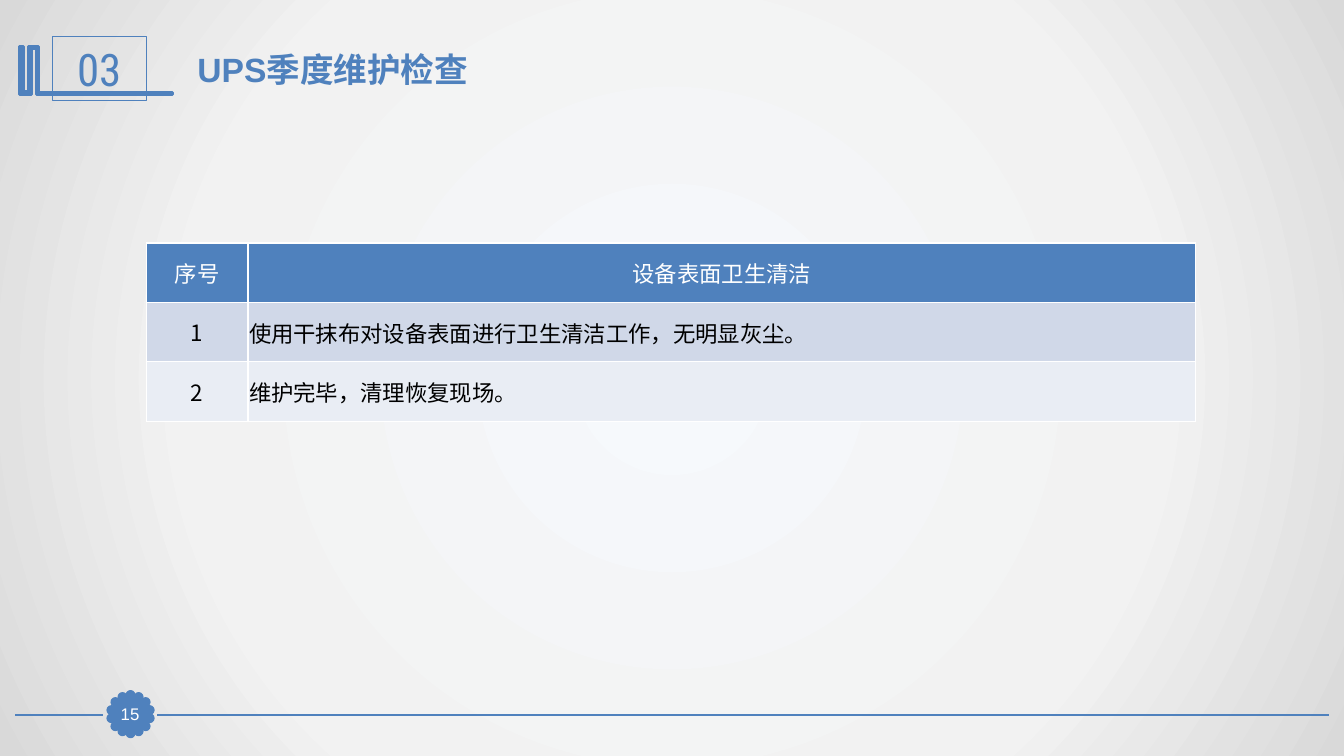
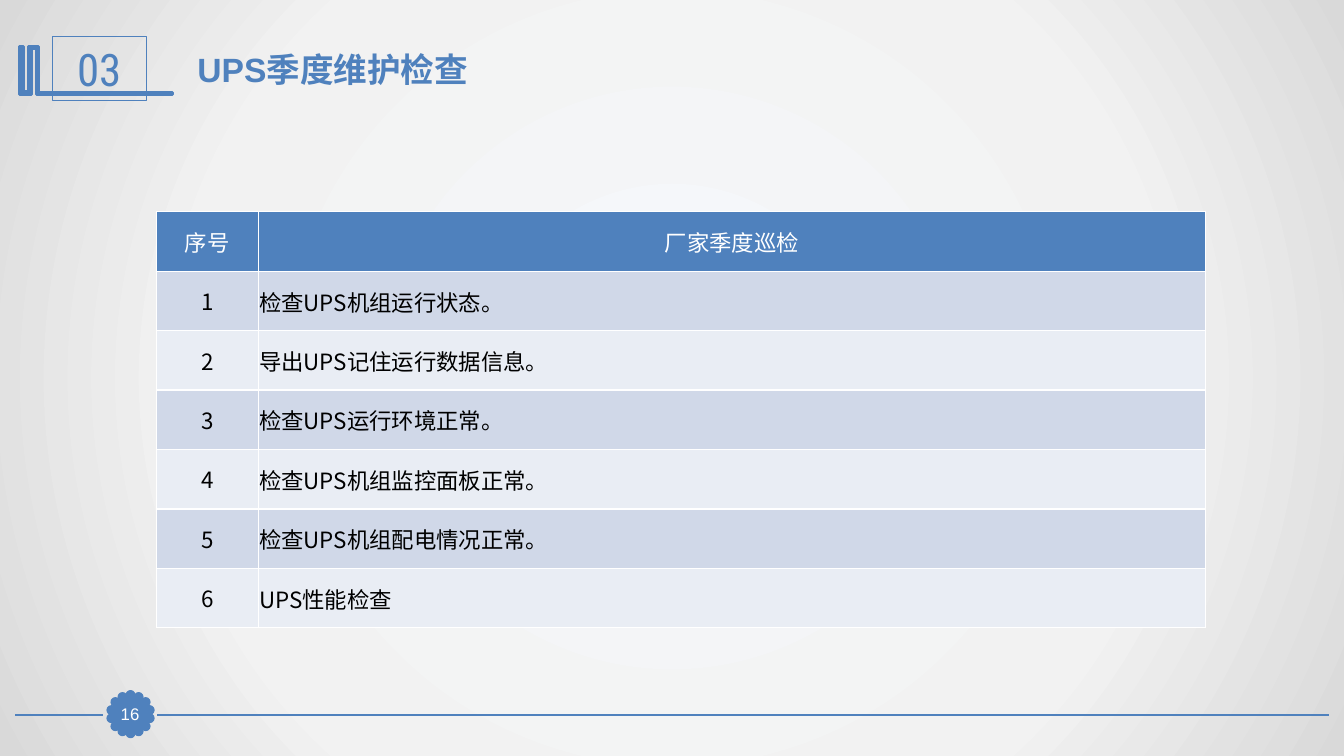
from dataclasses import dataclass
from math import cos, pi, sin

from lxml import etree
from pptx import Presentation
from pptx import util as u
from pptx.dml.color import RGBColor
from pptx.enum import shapes, text
from pptx.oxml import parse_xml
from pptx.oxml.ns import nsdecls, qn

PX = 9144
MID = text.MSO_ANCHOR.MIDDLE
LEFT, MIDST = text.PP_ALIGN.LEFT, text.PP_ALIGN.CENTER


@dataclass(frozen=True)
class Theme:
    blue: str = "4F81BD"
    white: str = "FFFFFF"
    black: str = "000000"
    bands: tuple = ("D0D8E8", "E9EDF4")
    glow: tuple = ((0, "F6F9FC"), (63, "F2F2F2"), (100, "D9D9D9"))
    sans: str = "Arial"
    thin: str = "Roboto Condensed"
    han: str = "Noto Sans CJK SC"
    title: int = 24
    badge: int = 32
    body: int = 16
    small: int = 12


class Deck:
    """Draws styled elements on the current slide."""

    def __init__(self, theme):
        self.theme = theme
        self.prs = Presentation()
        self.prs.slide_width, self.prs.slide_height = 1333 * PX, 750 * PX
        self.slide = None
        self.glow()

    def glow(self):
        stops = "".join(
            f'<a:gs pos="{pos * 1000}"><a:srgbClr val="{hue}"/></a:gs>'
            for pos, hue in self.theme.glow
        )
        base = self.prs.slide_master.element.cSld
        for old in base.findall(qn("p:bg")):
            base.remove(old)
        base.insert(0, parse_xml(
            f'<p:bg {nsdecls("p", "a")}><p:bgPr><a:gradFill rotWithShape="1">'
            f'<a:gsLst>{stops}</a:gsLst><a:path path="circle">'
            '<a:fillToRect l="50000" t="50000" r="50000" b="50000"/></a:path>'
            '</a:gradFill><a:effectLst/></p:bgPr></p:bg>'
        ))

    def page(self, num, part, head):
        self.slide = self.prs.slides.add_slide(self.prs.slide_layouts[6])
        self.foot(num)
        self.mark(part)
        self.title(head)

    def paint(self, shape, fill, width):
        shape.shadow.inherit = False
        if fill:
            shape.fill.solid()
            shape.fill.fore_color.rgb = RGBColor.from_string(fill)
        else:
            shape.fill.background()
        shape.line.color.rgb = RGBColor.from_string(self.theme.blue)
        shape.line.width = u.Pt(width)

    def words(self, frame, copy, size, hue, face, align=LEFT, bold=False):
        para = frame.paragraphs[0]
        para.alignment = align
        run = para.add_run()
        run.text = copy
        look = {"size": u.Pt(size), "name": face, "bold": bold}
        for key, val in look.items():
            setattr(run.font, key, val)
        run.font.color.rgb = RGBColor.from_string(hue)
        props = run._r.get_or_add_rPr()
        etree.SubElement(props, qn("a:ea"), typeface=self.theme.han)

    def shape(self, kind, box, fill=None, width=0.75):
        item = self.slide.shapes.add_shape(kind, *(n * PX for n in box))
        self.paint(item, fill, width)
        return item

    def label(self, box, copy, size, hue, face, fill=None, **fit):
        item = self.shape(shapes.MSO_SHAPE.RECTANGLE, box, fill)
        frame = item.text_frame
        for key, val in {"vertical_anchor": MID, "word_wrap": True, **fit}.items():
            setattr(frame, key, val)
        self.words(frame, copy, size, hue, face, MIDST)

    def rule(self, start, end, y):
        line = self.slide.shapes.add_connector(
            shapes.MSO_CONNECTOR.STRAIGHT, start * PX, y * PX, end * PX, y * PX)
        line.line.color.rgb = RGBColor.from_string(self.theme.blue)
        line.line.width = u.Pt(1.25)
        etree.SubElement(line._element.spPr, qn("a:effectLst"))

    def foot(self, num):
        look = self.theme
        for start, end in ((1318, 156), (102, 15)):
            self.rule(start, end, 709)
        for step in range(14):
            turn = 2 * pi * step / 14
            x, y = round(126 + 19 * sin(turn)), round(705 - 19 * cos(turn))
            self.shape(shapes.MSO_SHAPE.OVAL, (x, y, 7, 7), look.blue, 2)
        flat = dict.fromkeys(
            ("margin_left", "margin_top", "margin_right", "margin_bottom"), 0)
        self.label((113, 693, 32, 31), str(num), look.small, look.white,
                   look.sans, look.blue, **flat)

    def mark(self, part):
        look = self.theme
        dots = ((38, 46), (38, 92), (171, 92), (171, 94), (36, 94), (36, 48),
                (31, 48), (31, 94), (19, 94), (19, 46), (23, 46), (23, 91),
                (28, 91), (28, 46))
        pen = self.slide.shapes.build_freeform(*dots[0], scale=PX)
        pen.add_line_segments(dots[1:], close=True)
        self.paint(pen.convert_to_shape(), look.blue, 2)
        self.label((52, 36, 93, 64), part, look.badge, look.blue, look.thin)

    def title(self, copy):
        look = self.theme
        box = (186, 44, 969, 50)
        item = self.slide.shapes.add_textbox(*(n * PX for n in box))
        item.text_frame.word_wrap = True
        self.words(item.text_frame, copy, look.title, look.blue, look.sans,
                   bold=True)

    def edge(self, cell):
        props = cell._tc.get_or_add_tcPr()
        for side in ("lnL", "lnR", "lnT", "lnB"):
            props.append(parse_xml(
                f'<a:{side} {nsdecls("a")} w="12700"><a:solidFill>'
                f'<a:srgbClr val="{self.theme.white}"/></a:solidFill></a:{side}>'
            ))

    def cell(self, cell, copy, fill, hue, align):
        self.edge(cell)
        cell.fill.solid()
        cell.fill.fore_color.rgb = RGBColor.from_string(fill)
        cell.vertical_anchor = MID
        if align == LEFT:
            pads = {"margin_left": PX, "margin_right": PX,
                    "margin_top": PX, "margin_bottom": 0}
            for key, val in pads.items():
                setattr(cell, key, val)
        look = self.theme
        self.words(cell.text_frame, copy, look.body, hue, look.han, align)

    def table(self, x, y, head, tasks):
        look, wide, high = self.theme, (101, 940), 59
        rows = [("序号", head)]
        rows += [(str(n), task) for n, task in enumerate(tasks, 1)]
        size = (x, y, sum(wide), high * len(rows))
        grid = self.slide.shapes.add_table(
            len(rows), len(wide), *(n * PX for n in size)).table
        grid.first_row = grid.horz_banding = False
        for col, width in zip(grid.columns, wide):
            col.width = width * PX
        for r, row in enumerate(rows):
            grid.rows[r].height = high * PX
            fill = look.bands[(r - 1) % 2] if r else look.blue
            hue = look.black if r else look.white
            for c, copy in enumerate(row):
                align = LEFT if r and c else MIDST
                self.cell(grid.cell(r, c), copy, fill, hue, align)


def main():
    deck = Deck(Theme())
    pages = (
        (145, 241, "设备表面卫生清洁", (
            "使用干抹布对设备表面进行卫生清洁工作，无明显灰尘。",
            "维护完毕，清理恢复现场。",
        )),
        (155, 210, "厂家季度巡检", (
            "检查UPS机组运行状态。",
            "导出UPS记住运行数据信息。",
            "检查UPS运行环境正常。",
            "检查UPS机组监控面板正常。",
            "检查UPS机组配电情况正常。",
            "UPS性能检查",
        )),
    )
    for num, spot in enumerate(pages, 15):
        deck.page(num, "03", "UPS季度维护检查")
        deck.table(*spot)
    deck.prs.save("out.pptx")


if __name__ == "__main__":
    main()
